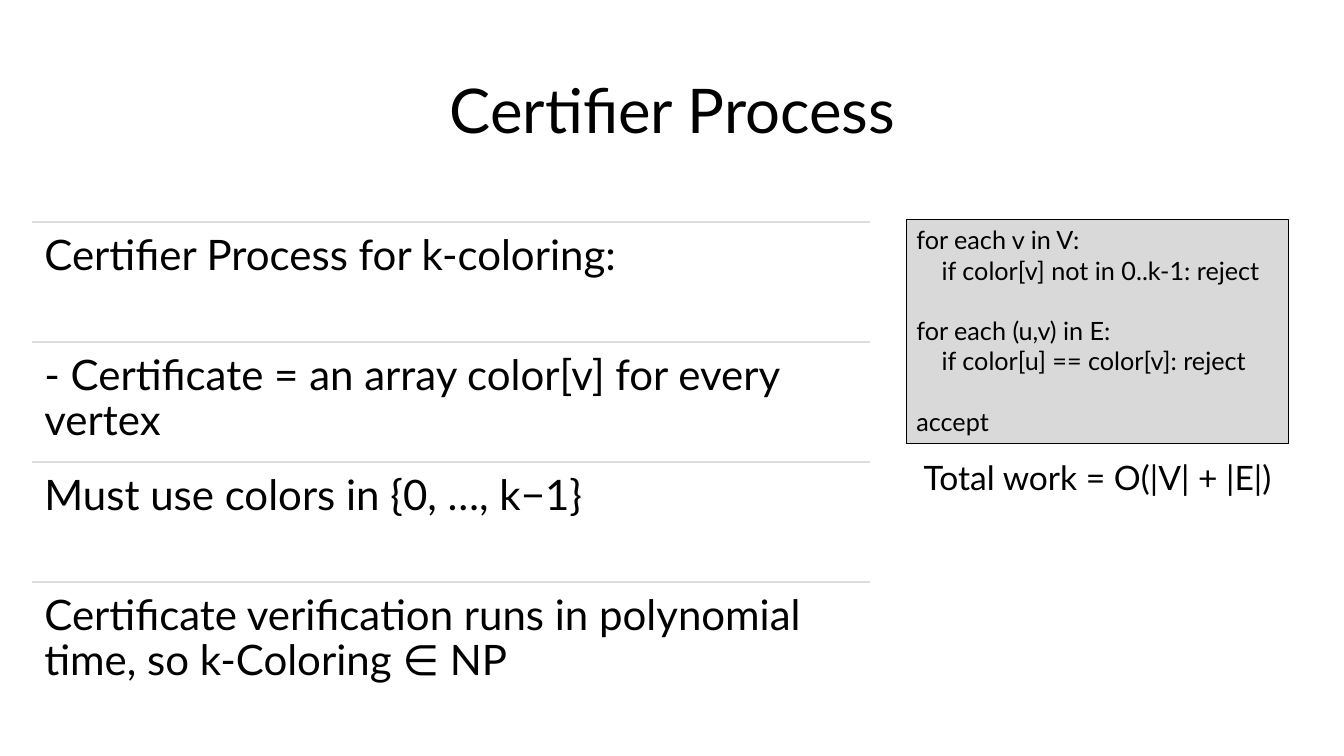
from lxml.etree import SubElement
from pptx import Presentation
from pptx.dml.color import RGBColor
from pptx.enum.shapes import MSO_CONNECTOR, MSO_SHAPE
from pptx.enum.text import MSO_ANCHOR, PP_ALIGN
from pptx.oxml.ns import qn
from pptx.util import Inches, Pt

# Content
TITLE = "Certifier Process"
STEPS = [
    "Certifier Process for k-coloring:",
    "- Certificate = an array color[v] for every vertex",
    "Must use colors in {0, …, k−1}",
    "Certificate verification runs in polynomial time, so k-Coloring ∈ NP",
]
# Each block of code holds (indent level, line)
CODE_BLOCKS = [
    [(0, "for each v in V:"), (1, "if color[v] not in 0..k-1: reject")],
    [(0, "for each (u,v) in E:"), (1, "if color[u] == color[v]: reject")],
    [(0, "accept")],
]
TOTAL = "Total work = O(|V| + |E|)"

THEME = {
    "font": "Lato",
    "text": RGBColor(0x00, 0x00, 0x00),
    "rule": RGBColor(0xDD, 0xDD, 0xDD),
    "panel": RGBColor(0xD9, 0xD9, 0xD9),
    "title": 44, "step": 30, "code": 18, "total": 24,
}

# Layout in inches
STEP_X, STEP_Y, STEP_W, STEP_H = 0.32, 2.2, 8.31, 1.19
STEP_INSET = 0.12
SIDE_X, SIDE_W = 8.99, 3.79
CODE_INDENT = 0.25
CODE_GAP = 21.6  # points, one line of code


def write(p, text, size, align=PP_ALIGN.LEFT, spacing=None, before=0, indent=0):
    p.alignment = align
    p.space_before = Pt(before)
    if spacing:
        p.line_spacing = spacing
    if indent:
        pPr = p._p.get_or_add_pPr()
        pPr.set("marL", str(Inches(indent)))
        pPr.set("indent", "0")
    r = p.add_run()
    r.text = text
    r.font.name = THEME["font"]
    r.font.size = Pt(size)
    r.font.color.rgb = THEME["text"]


def add_box(shapes, x, y, w, h):
    sp = shapes.add_textbox(Inches(x), Inches(y), Inches(w), Inches(h))
    sp.text_frame.word_wrap = True
    return sp.text_frame


prs = Presentation()
prs.slide_width, prs.slide_height = Inches(13.33), Inches(7.5)
slide = prs.slides.add_slide(prs.slide_layouts[5])
shapes = slide.shapes

# Title
title = shapes.title
title.left, title.top = Inches(0.92), Inches(0.4)
title.width, title.height = Inches(11.5), Inches(1.45)
title.text_frame.vertical_anchor = MSO_ANCHOR.MIDDLE
write(title.text_frame.paragraphs[0], TITLE, THEME["title"],
      align=PP_ALIGN.CENTER, spacing=0.9)

# Steps, each under a rule
for i, step in enumerate(STEPS):
    y = STEP_Y + i * STEP_H
    rule = shapes.add_connector(MSO_CONNECTOR.STRAIGHT, Inches(STEP_X), Inches(y),
                                Inches(STEP_X + STEP_W), Inches(y))
    rule.line.color.rgb = THEME["rule"]
    rule.line.width = Pt(1.5)
    SubElement(rule._element.spPr, qn("a:effectLst"))
    tf = add_box(shapes, STEP_X, y, STEP_W, STEP_H)
    tf.margin_left = tf.margin_right = Inches(STEP_INSET)
    tf.margin_top = tf.margin_bottom = Inches(STEP_INSET)
    write(tf.paragraphs[0], step, THEME["step"], spacing=0.9)

# Code panel
panel = shapes.add_shape(MSO_SHAPE.RECTANGLE, Inches(SIDE_X), Inches(2.18),
                         Inches(SIDE_W), Inches(2.22))
panel.shadow.inherit = False
panel.fill.solid()
panel.fill.fore_color.rgb = THEME["panel"]
panel.line.color.rgb = THEME["text"]
panel.line.width = Pt(0.75)
tf = panel.text_frame
tf.word_wrap = True
tf.vertical_anchor = MSO_ANCHOR.TOP
for b, block in enumerate(CODE_BLOCKS):
    for n, (level, line) in enumerate(block):
        first = n == 0
        p = tf.paragraphs[0] if b == 0 and first else tf.add_paragraph()
        write(p, line, THEME["code"], before=CODE_GAP if b and first else 0,
              indent=level * CODE_INDENT)

# Running time
tf = add_box(shapes, SIDE_X, 4.48, SIDE_W, 0.5)
write(tf.paragraphs[0], TOTAL, THEME["total"], align=PP_ALIGN.CENTER)

prs.save("out.pptx")
